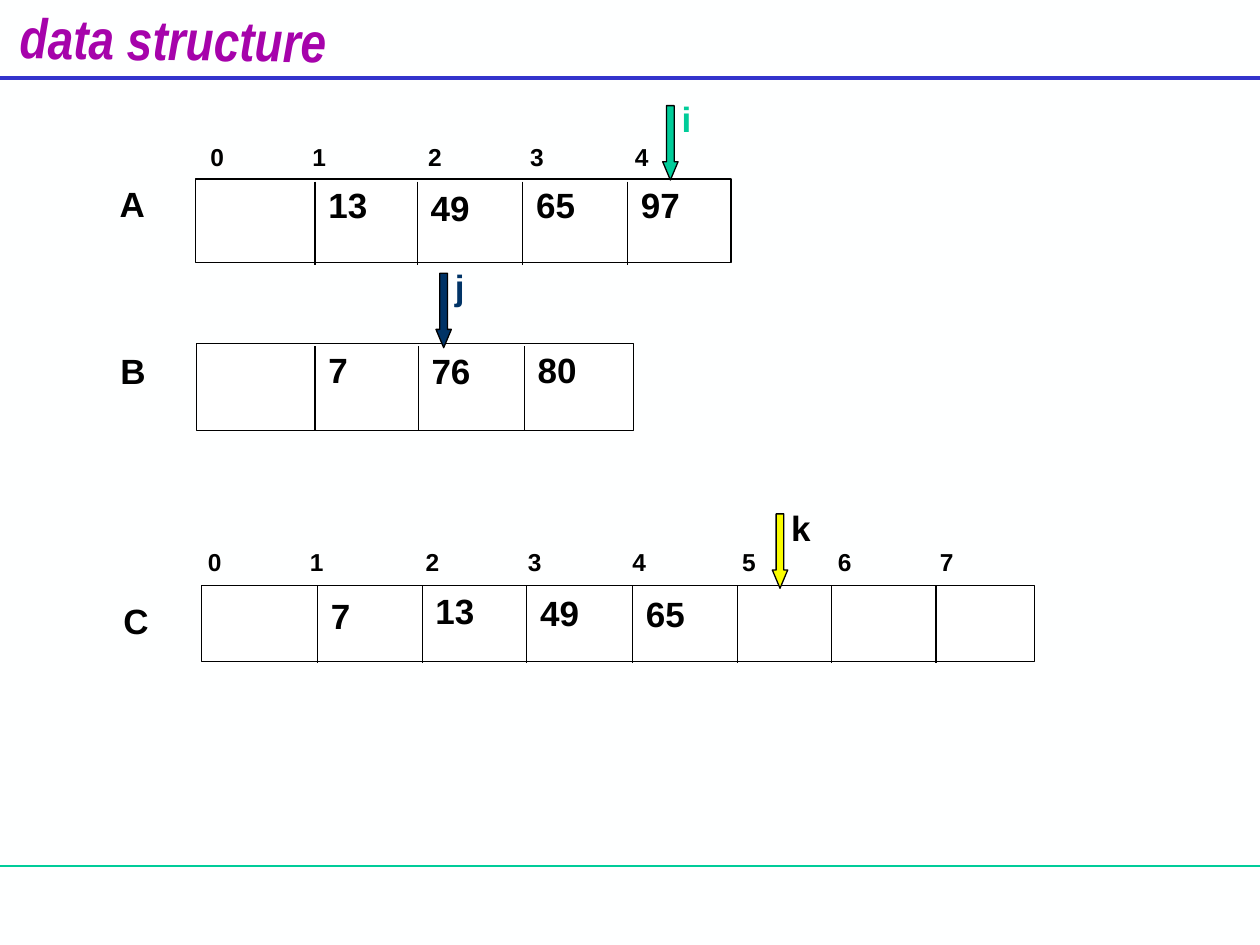
from dataclasses import dataclass

import pptx
import pptx.dml.color
import pptx.enum.shapes
import pptx.enum.text
import pptx.oxml
import pptx.oxml.ns
import pptx.util

Cm = pptx.util.Cm
Pt = pptx.util.Pt
MSO_SHAPE = pptx.enum.shapes.MSO_SHAPE

BLACK, WHITE = "000000", "FFFFFF"
TEAL, NAVY, YELLOW = "00CC99", "003366", "FAFD00"
INDEX_TABS = (2.06, 4.39, 6.45, 8.56, 10.77, 12.7, 14.76)


@dataclass
class Array:
    name: str
    name_at: tuple[float, float]
    box: tuple[float, float, float, float]
    dividers: tuple[float, ...]
    divider_span: tuple[float, float]
    values: tuple[str, ...]
    value_tops: tuple[float, ...]
    indices_at: tuple[float, float] | None = None


@dataclass
class Pointer:
    label: str
    left: float
    top: float
    fill: str
    label_color: str


ARRAYS = (
    Array("A", (2.16, 3.56), (3.94, 3.61, 10.8, 1.68),
          (6.35, 8.41, 10.54, 12.65), (3.66, 5.34),
          ("13", "49", "65", "97"), (3.58, 3.63, 3.58, 3.58), (3.99, 2.74)),
    Array("B", (2.18, 6.93), (3.96, 6.93, 8.81, 1.75),
          (6.35, 8.43, 10.57), (6.98, 8.66),
          ("7", "76", "80"), (6.91, 6.93, 6.91)),
    Array("C", (2.24, 11.96), (4.06, 11.81, 16.79, 1.52),
          (6.4, 8.51, 10.62, 12.75, 14.86, 16.76, 18.87), (11.81, 13.36),
          ("7", "13", "49", "65"), (11.86, 11.76, 11.79, 11.81), (3.94, 10.9)),
)
POINTERS = (
    Pointer("i", 13.36, 2.13, TEAL, TEAL),
    Pointer("j", 8.79, 5.51, NAVY, NAVY),
    Pointer("k", 15.57, 10.36, YELLOW, BLACK),
)


def rgb(color: str) -> pptx.dml.color.RGBColor:
    return pptx.dml.color.RGBColor.from_string(color)


def add_run(p, text: str, size: float, color: str, font: str = "Arial"):
    r = p.add_run()
    r.text = text
    r.font.name, r.font.size, r.font.bold = font, Pt(size), True
    r.font.color.rgb = rgb(color)
    return r


def add_label(s, text: str, left: float, top: float, width: float = 1.7,
              height: float = 1.12, size: float = 20, color: str = BLACK):
    sp = s.shapes.add_textbox(Cm(left), Cm(top), Cm(width), Cm(height))
    tf = sp.text_frame
    tf.word_wrap = True
    p = tf.paragraphs[0]
    add_run(p, text, size, color)
    return p


def add_indices(s, array: Array) -> None:
    """Number the cells above an array, one tab stop for each cell."""
    count = len(array.dividers) + 1
    left, top = array.indices_at
    p = add_label(s, "\t".join(str(n) for n in range(count)), left, top,
                  array.box[2], 0.86, 14)
    tabs = pptx.oxml.parse_xml(f'<a:tabLst {pptx.oxml.ns.nsdecls("a")}/>')
    for stop in INDEX_TABS[:count - 1]:
        tab = pptx.oxml.parse_xml(f'<a:tab {pptx.oxml.ns.nsdecls("a")}/>')
        tab.set("pos", str(int(Cm(stop))))
        tab.set("algn", "l")
        tabs.append(tab)
    p._p.get_or_add_pPr().append(tabs)


def add_line(s, x1: float, y1: float, x2: float, y2: float,
             color: str = BLACK, width: float = 0.75) -> None:
    line = s.shapes.add_connector(pptx.enum.shapes.MSO_CONNECTOR.STRAIGHT,
                                  Cm(x1), Cm(y1), Cm(x2), Cm(y2))
    line.line.color.rgb = rgb(color)
    line.line.width = Pt(width)
    line._element.spPr.append(
        pptx.oxml.parse_xml(f'<a:effectLst {pptx.oxml.ns.nsdecls("a")}/>'))


def add_shape(s, kind, left: float, top: float, width: float, height: float,
              fill: str):
    sp = s.shapes.add_shape(kind, Cm(left), Cm(top), Cm(width), Cm(height))
    sp.shadow.inherit = False
    sp.fill.solid()
    sp.fill.fore_color.rgb = rgb(fill)
    sp.line.color.rgb = rgb(BLACK)
    sp.line.width = Pt(0.75)
    return sp


def add_array(s, array: Array) -> None:
    if array.indices_at:
        add_indices(s, array)
    add_shape(s, MSO_SHAPE.RECTANGLE, *array.box, WHITE)
    top, bottom = array.divider_span
    for x in array.dividers:
        add_line(s, x, top, x, bottom)
    for x, text, y in zip(array.dividers, array.values, array.value_tops):
        add_label(s, text, x + 0.02, y)
    add_label(s, array.name, *array.name_at)


def add_pointer(s, pointer: Pointer) -> None:
    arrow = add_shape(s, MSO_SHAPE.DOWN_ARROW, pointer.left, pointer.top,
                      0.31, 1.5, pointer.fill)
    arrow.adjustments[0] = 0.5
    arrow.adjustments[1] = 1.19
    add_label(s, pointer.label, pointer.left + 0.13, pointer.top - 0.28,
              width=1.35, color=pointer.label_color)


def set_title(s, text: str) -> None:
    title = s.shapes.title
    title.left, title.top = Cm(0), Cm(-0.03)
    title.width, title.height = Cm(6.98), Cm(1.37)
    title.rotation = 0.8
    tf = title.text_frame
    tf.word_wrap = False
    tf.margin_left = tf.margin_right = Cm(0)
    tf.auto_size = pptx.enum.text.MSO_AUTO_SIZE.NONE
    tf.vertical_anchor = pptx.enum.text.MSO_ANCHOR.TOP
    p = tf.paragraphs[0]
    p.alignment = pptx.enum.text.PP_ALIGN.CENTER
    add_run(p, text, 32, "A603AB", "Arial Narrow").font.italic = True


def main() -> None:
    prs = pptx.Presentation()
    prs.slide_width, prs.slide_height = Cm(25.4), Cm(19.05)
    s = prs.slides.add_slide(prs.slide_layouts.get_by_name("Title Only"))
    s.background.fill.solid()
    s.background.fill.fore_color.rgb = rgb("FEFFFF")

    add_line(s, 0, 17.46, 25.4, 17.46, TEAL)
    add_line(s, 0, 1.57, 25.4, 1.57, "3333CC", 2.25)
    set_title(s, "data structure")
    for array in ARRAYS:
        add_array(s, array)
    for pointer in POINTERS:
        add_pointer(s, pointer)
    prs.save("out.pptx")


if __name__ == "__main__":
    main()
